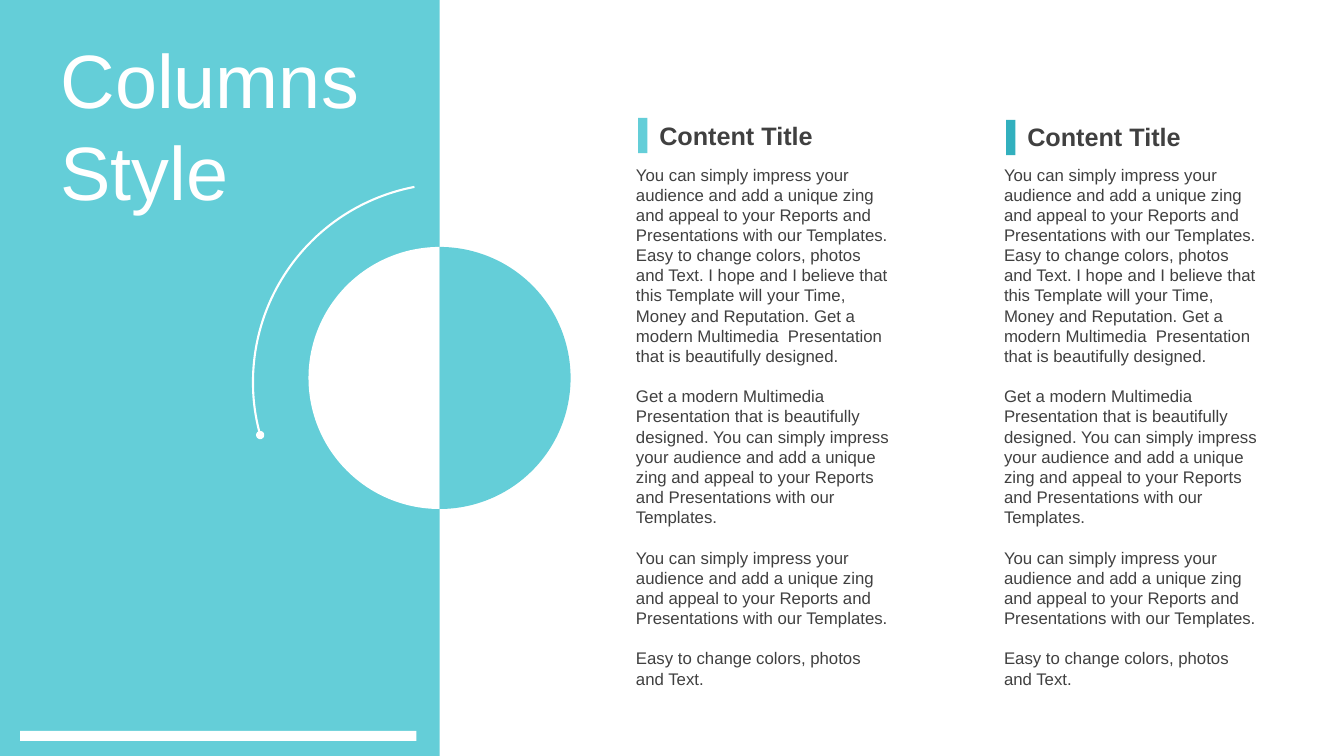
from lxml import etree
from pptx import Presentation
from pptx.dml.color import RGBColor
from pptx.enum import shapes, text
from pptx.oxml.ns import qn
from pptx.util import Inches, Pt

HEADING = ["Columns", "Style"]
BODY = [
    "You can simply impress your audience and add a unique zing and appeal to "
    "your Reports and Presentations with our Templates. Easy to change colors, "
    "photos and Text. I hope and I believe that this Template will your Time, "
    "Money and Reputation. Get a modern Multimedia  Presentation that is "
    "beautifully designed.",
    "Get a modern Multimedia  Presentation that is beautifully designed. You can "
    "simply impress your audience and add a unique zing and appeal to your "
    "Reports and Presentations with our Templates.",
    "You can simply impress your audience and add a unique zing and appeal to "
    "your Reports and Presentations with our Templates.",
    "Easy to change colors, photos and Text.",
]
# left edge, top of the marker, top of the title, marker colour, title, paragraphs
COLUMNS = [
    (6.21, 1.17, 1.14, "teal", "Content Title", BODY),
    (9.86, 1.19, 1.15, "deep", "Content Title", BODY),
]
COLORS = {"teal": "64CED8", "deep": "32B0BE", "white": "FFFFFF", "dark": "404040"}
FONT = "Arial"
WIDTH, HEIGHT = 13.33, 7.5
EDGE = 4.36
MIDDLE, RADIUS = 3.75, 1.3
DEGREE = 0.6  # one degree in units of a shape adjustment
KIND = shapes.MSO_SHAPE

deck = Presentation()
deck.slide_width, deck.slide_height = Inches(WIDTH), Inches(HEIGHT)
slide = deck.slides.add_slide(deck.slide_layouts[5])


def color(name):
    return RGBColor.from_string(COLORS[name])


def draw(kind, left, top, width, height, fill=None, angles=()):
    """Add a preset shape without outline; angles set its start and end."""
    shape = slide.shapes.add_shape(kind, *map(Inches, (left, top, width, height)))
    shape.shadow.inherit = False
    for i, angle in enumerate(angles):
        shape.adjustments[i] = angle * DEGREE
    if fill:
        shape.fill.solid()
        shape.fill.fore_color.rgb = color(fill)
    else:
        shape.fill.background()
    shape.line.fill.background()
    return shape


def write(frame, lines, size, ink="dark", bold=False, gap=0, pitch=None,
          anchor=text.MSO_ANCHOR.TOP):
    frame.word_wrap = True
    frame.auto_size = text.MSO_AUTO_SIZE.NONE
    frame.vertical_anchor = anchor
    for i, line in enumerate(lines):
        para = frame.paragraphs[0] if i == 0 else frame.add_paragraph()
        para.text = line
        para.alignment = text.PP_ALIGN.LEFT
        para.space_before = Pt(gap if i else 0)
        para.line_spacing = Pt(pitch or size * 1.2)
        para.font.name, para.font.size = FONT, Pt(size)
        para.font.bold = bold
        para.font.color.rgb = color(ink)


def label(left, top, width, height, lines, size, **style):
    box = slide.shapes.add_textbox(*map(Inches, (left, top, width, height)))
    write(box.text_frame, lines, size, **style)


def sweep():
    """Thin white arc with a dot at its lower end."""
    arc = draw(KIND.ARC, 2.51, 1.82, 3.94, 3.94, angles=(164.51, 259.21))
    arc.line.color.rgb = color("white")
    arc.line.width = Pt(1.5)
    line = arc.element.spPr.find(qn("a:ln"))
    etree.SubElement(line, qn("a:headEnd"), type="oval")


def main():
    draw(KIND.RECTANGLE, 0, 0, EDGE, HEIGHT, "teal")
    for fill, angles in (("white", (90, 270)), ("teal", (270, 90))):
        draw(KIND.CHORD, EDGE - RADIUS, MIDDLE - RADIUS, 2 * RADIUS, 2 * RADIUS,
             fill, angles)
    draw(KIND.RECTANGLE, 0.2, 7.25, 3.93, 0.1, "white")
    sweep()

    title = slide.shapes.title
    title.left, title.top, title.width, title.height = map(
        Inches, (0.5, 0.27, 3.31, 1.92))
    write(title.text_frame, HEADING, 54, ink="white", pitch=65.5,
          anchor=text.MSO_ANCHOR.MIDDLE)
    title.element.getparent().append(title.element)

    for left, top, rise, fill, head, lines in COLUMNS:
        label(left, 1.58, 2.74, 5.35, lines, 12, gap=14.4)
        draw(KIND.RECTANGLE, left + 0.12, top, 0.09, 0.35, fill)
        label(left + 0.23, rise, 2.21, 0.4, [head], 18, bold=True,
              anchor=text.MSO_ANCHOR.MIDDLE)

    deck.save("out.pptx")


if __name__ == "__main__":
    main()
